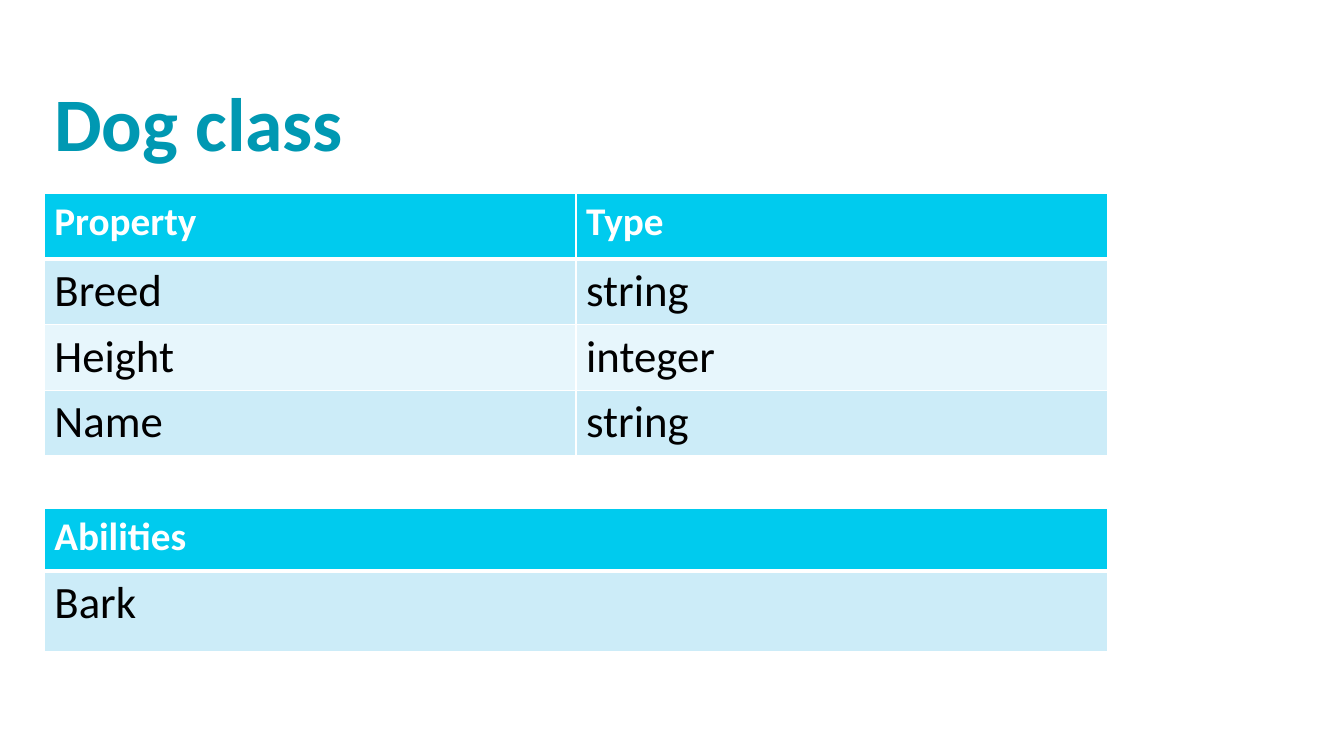
from pptx import Presentation
from pptx.util import Pt
from pptx.dml.color import RGBColor as Rgb
from pptx.oxml import parse_xml as to_xml
from pptx.oxml.ns import nsdecls as names

HUES = {
    "title": "0098B2",
    "head": "00CBEE",
    "odd": "CCECF8",
    "even": "E7F6FC",
    "white": "FFFFFF",
    "black": "000000",
}
LEFT, WIDTH = 31.68, 759.6


def hue(name):
    return Rgb.from_string(HUES[name])


def write(frame, text, size, tint, bold):
    para = frame.paragraphs[0]
    run = para.add_run()
    run.text = text
    font = run.font
    font.name = "Calibri"
    font.size = Pt(size)
    font.bold = bold
    font.color.rgb = hue(tint)
    return para


def edge(cell, sides):
    props = cell._tc.get_or_add_tcPr()
    for spot, (side, width) in enumerate(sides.items()):
        props.insert(spot, to_xml(
            f'<a:ln{side} {names("a")} w="{Pt(width)}"><a:solidFill>'
            f'<a:srgbClr val="{HUES["white"]}"/></a:solidFill></a:ln{side}>'))


def add_title(slide, text, left, top, width, height):
    box = slide.shapes.add_textbox(Pt(left), Pt(top), Pt(width), Pt(height))
    box.text_frame.word_wrap = True
    para = write(box.text_frame, text, 54, "title", True)
    para.line_spacing = 0.9
    para.space_before = Pt(10)


def add_grid(slide, data, left, top, width, highs):
    cols = len(data[0])
    grid = slide.shapes.add_table(len(data), cols, Pt(left), Pt(top),
                                  Pt(width), Pt(sum(highs))).table
    for col in grid.columns:
        col.width = Pt(width / cols)
    for i, (row, high) in enumerate(zip(data, highs)):
        grid.rows[i].height = Pt(high)
        head = i == 0
        band = "head" if head else "odd" if i % 2 else "even"
        for j, text in enumerate(row):
            cell = grid.cell(i, j)
            cell.fill.solid()
            cell.fill.fore_color.rgb = hue(band)
            edge(cell, {"L": 1, "R": 1, "T": 3 if i == 1 else 1,
                        "B": 3 if head else 1})
            write(cell.text_frame, text, 28 if head else 32,
                  "white" if head else "black", head)


def main():
    deck = Presentation()
    deck.slide_width, deck.slide_height = Pt(960), Pt(540)
    slide = deck.slides.add_slide(deck.slide_layouts[6])
    add_title(slide, "Dog class", LEFT, 58.32, WIDTH, 66.24)
    add_grid(slide, [("Property", "Type"), ("Breed", "string"),
                     ("Height", "integer"), ("Name", "string")],
             LEFT, 138.24, WIDTH, [46.8] * 4)
    add_grid(slide, [("Abilities",), ("Bark",)],
             LEFT, 362.88, WIDTH, [45.0, 57.6])
    deck.save("out.pptx")


if __name__ == "__main__":
    main()
